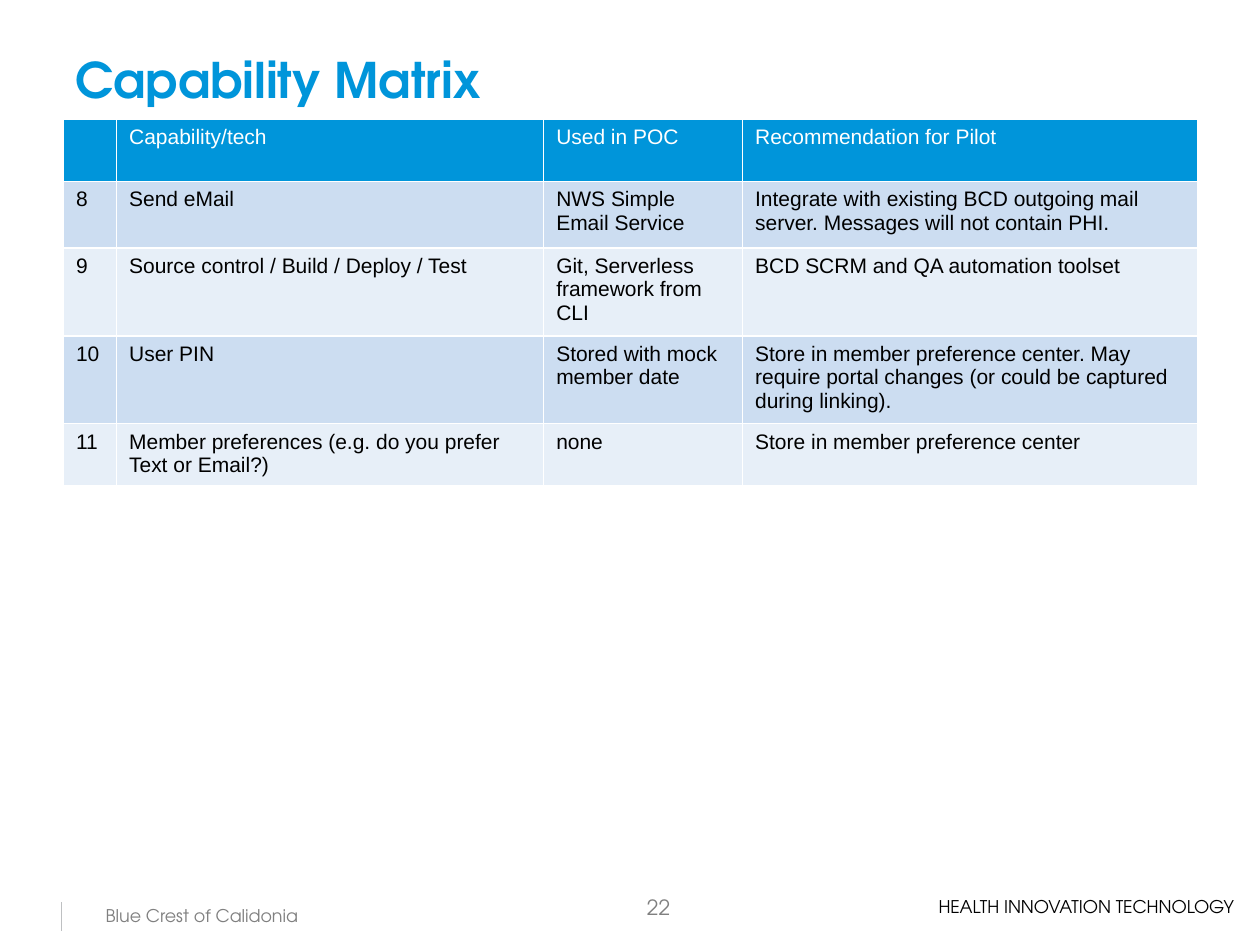
from dataclasses import dataclass, field

from lxml.etree import SubElement
from pptx import Presentation
from pptx.dml.color import RGBColor
from pptx.enum.shapes import MSO_CONNECTOR
from pptx.enum.text import MSO_ANCHOR, PP_ALIGN
from pptx.oxml.ns import qn
from pptx.util import Cm, Pt

HEADING_FONT, BODY_FONT = "TeX Gyre Adventor", "Arial"
BLUE, WHITE, BLACK, GREY = "0095DA", "FFFFFF", "000000", "808080"
BANDS = ("CCDDF1", "E7EFF8")
COLUMN_WIDTHS = (1.07, 8.61, 4.01, 9.17)
ROW_HEIGHTS = (1.25, 1.34, 1.77, 1.77, 1.25)
MATRIX = (
    ("", "Capability/tech", "Used in POC", "Recommendation for Pilot"),
    ("8", "Send eMail", "NWS Simple Email Service",
     "Integrate with existing BCD outgoing mail server. Messages will not contain PHI."),
    ("9", "Source control / Build / Deploy / Test", "Git, Serverless framework from CLI",
     "BCD SCRM and QA automation toolset"),
    ("10", "User PIN", "Stored with mock member date",
     "Store in member preference center. May require portal changes "
     "(or could be captured during linking)."),
    ("11", "Member preferences (e.g. do you prefer Text or Email?)", "none",
     "Store in member preference center"),
)


@dataclass
class Label:
    text: str
    position: tuple[float, float, float, float]
    font: dict
    align: PP_ALIGN = PP_ALIGN.LEFT
    anchor: MSO_ANCHOR = MSO_ANCHOR.TOP
    wrap: bool = True


@dataclass
class Grid:
    left: float
    top: float
    widths: tuple
    heights: tuple
    rows: tuple = field(default=MATRIX)


LABELS = (
    Label("Capability Matrix", (1.27, 0.76, 22.86, 1.65),
          {"name": HEADING_FONT, "size": 28, "color": BLUE, "bold": True},
          anchor=MSO_ANCHOR.MIDDLE),
    Label("Blue Crest of Calidonia", (1.35, 18.11, 5.44, 0.69),
          {"name": HEADING_FONT, "size": 10, "color": GREY}, PP_ALIGN.CENTER),
    Label("22", (11.63, 17.78, 2.13, 1.02),
          {"name": HEADING_FONT, "size": 12, "color": GREY}, PP_ALIGN.RIGHT, MSO_ANCHOR.MIDDLE),
    Label("HEALTH INNOVATION TECHNOLOGY", (18.67, 17.93, 6.65, 0.69),
          {"name": HEADING_FONT, "size": 10, "color": BLACK}, wrap=False),
)


def rgb(value: str) -> RGBColor:
    return RGBColor.from_string(value)


def write_text(frame, text: str, font: dict, align: PP_ALIGN = PP_ALIGN.LEFT) -> None:
    para = frame.paragraphs[0]
    para.alignment = align
    span = para.add_run()
    span.text = text
    for name, value in font.items():
        if name == "color":
            span.font.color.rgb = rgb(value)
        else:
            setattr(span.font, name, Pt(value) if name == "size" else value)


def draw_label(slide, label: Label) -> None:
    box = slide.shapes.add_textbox(*map(Cm, label.position))
    frame = box.text_frame
    frame.word_wrap = label.wrap
    frame.vertical_anchor = label.anchor
    write_text(frame, label.text, label.font, label.align)


def set_borders(cell, color: str, width: float) -> None:
    """Outline a cell; borders must precede the fill in its properties."""
    properties = cell._tc.get_or_add_tcPr()
    for side in ("a:lnL", "a:lnR", "a:lnT", "a:lnB"):
        line = SubElement(properties, qn(side), w=str(Pt(width)))
        SubElement(SubElement(line, qn("a:solidFill")), qn("a:srgbClr"), val=color)


def draw_grid(slide, grid: Grid) -> None:
    table = slide.shapes.add_table(
        len(grid.rows), len(grid.widths), Cm(grid.left), Cm(grid.top),
        Cm(sum(grid.widths)), Cm(sum(grid.heights))).table
    for column, width in zip(table.columns, grid.widths):
        column.width = Cm(width)
    for index, (row, height, texts) in enumerate(zip(table.rows, grid.heights, grid.rows)):
        row.height = Cm(height)
        fill = BANDS[(index - 1) % 2] if index else BLUE
        font = {"name": BODY_FONT, "size": 12, "bold": False, "color": BLACK if index else WHITE}
        for cell, text in zip(row.cells, texts):
            set_borders(cell, WHITE, 1)
            cell.fill.solid()
            cell.fill.fore_color.rgb = rgb(fill)
            if text:
                write_text(cell.text_frame, text, font)


def draw_footer_rule(slide) -> None:
    rule = slide.shapes.add_connector(
        MSO_CONNECTOR.STRAIGHT, Cm(1.24), Cm(18.19), Cm(1.24), Cm(18.77))
    rule.line.color.rgb = rgb("BEC0C2")
    rule.line.width = Pt(0.5)
    SubElement(rule._element.spPr, qn("a:effectLst"))


def main() -> None:
    deck = Presentation()
    deck.slide_width, deck.slide_height = Cm(25.4), Cm(19.05)
    slide = deck.slides.add_slide(deck.slide_layouts[6])
    draw_footer_rule(slide)
    draw_grid(slide, Grid(1.28, 2.41, COLUMN_WIDTHS, ROW_HEIGHTS))
    for label in LABELS:
        draw_label(slide, label)
    deck.save("out.pptx")


if __name__ == "__main__":
    main()
